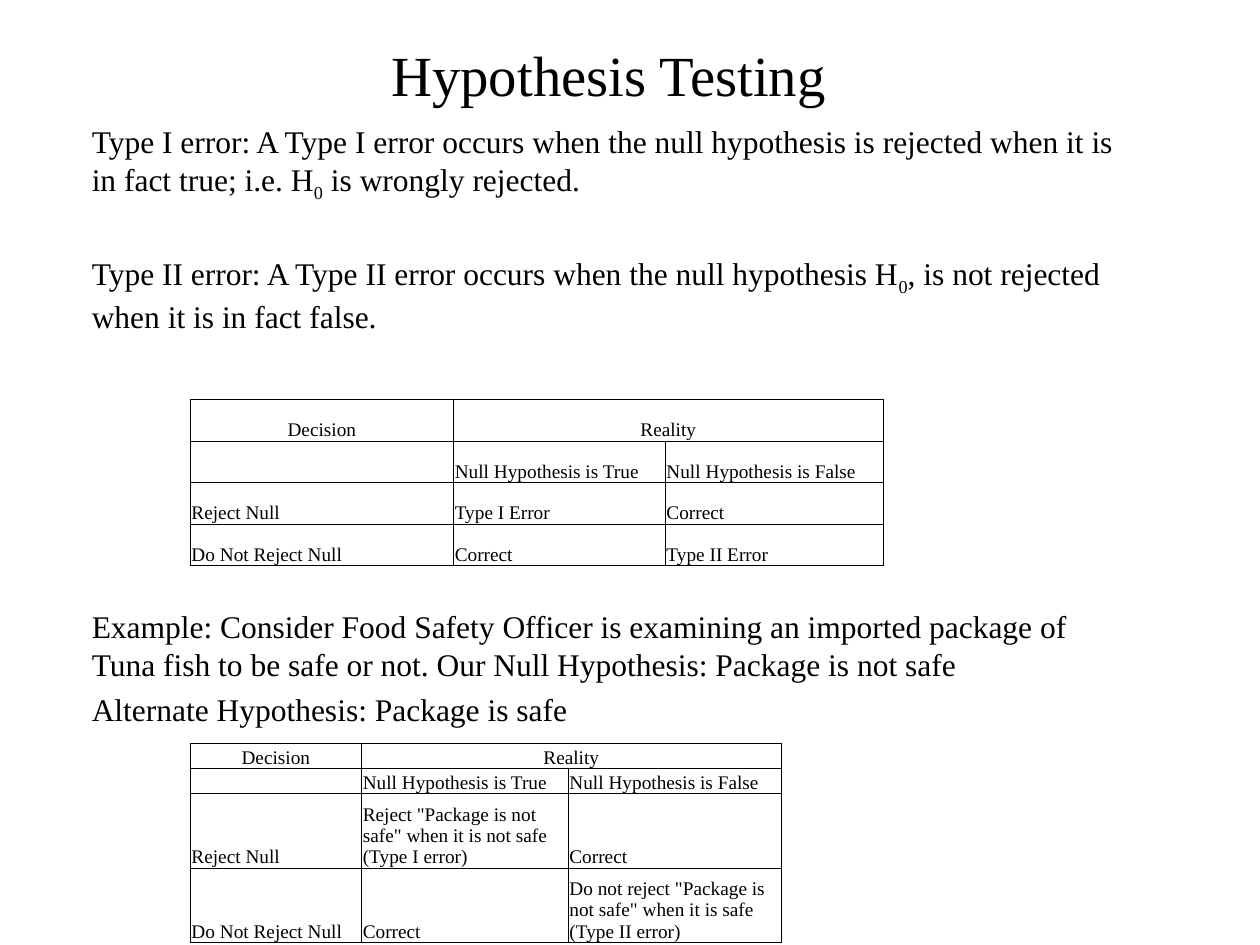
from pptx import Presentation
from pptx.dml.color import RGBColor
from pptx.enum.text import MSO_ANCHOR as Anchor, PP_ALIGN as Align
from pptx.oxml import parse_xml
from pptx.oxml.ns import nsdecls
from pptx.util import Inches, Pt

BLACK = RGBColor(0, 0, 0)
FACE = "Times New Roman"
HEADS = [["Decision", "Reality", ""],
         ["", "Null Hypothesis is True", "Null Hypothesis is False"]]


def style(font, size):
    font.name, font.size = FACE, Pt(size)
    font.color.rgb = BLACK


def add_box(slide, box):
    frame = slide.shapes.add_textbox(*map(Inches, box)).text_frame
    frame.word_wrap = True
    return frame


def add_title(slide, box, text):
    frame = add_box(slide, box)
    frame.vertical_anchor = Anchor.MIDDLE
    frame.text = text
    para = frame.paragraphs[0]
    para.alignment = Align.CENTER
    style(para.runs[0].font, 32.4)


def add_body(slide, box, parts):
    """Each part is a space before in points and a text with | around subscripts."""
    frame = add_box(slide, box)
    for i, (gap, text) in enumerate(parts):
        para = frame.add_paragraph() if i else frame.paragraphs[0]
        para.space_before = Pt(gap)
        for j, piece in enumerate(text.split("|")):
            run = para.add_run()
            run.text = piece
            style(run.font, 18)
            if j % 2:
                run.font._element.set("baseline", "-25000")


def add_border(cell):
    props = cell._tc.get_or_add_tcPr()
    for i, side in enumerate(("lnL", "lnR", "lnT", "lnB")):
        props.insert(i, parse_xml(
            f'<a:{side} {nsdecls("a")} w="{Pt(0.5)}"><a:solidFill>'
            f'<a:srgbClr val="{BLACK}"/></a:solidFill></a:{side}>'))


def fill_cell(cell, text, align):
    cell.fill.background()
    add_border(cell)
    cell.vertical_anchor = Anchor.BOTTOM
    cell.margin_left = cell.margin_right = cell.margin_top = Inches(0.01)
    cell.margin_bottom = 0
    cell.text = text
    para = cell.text_frame.paragraphs[0]
    para.alignment = align
    for run in para.runs:
        style(run.font, 11)
    if not text:  # keeps an empty cell from stretching its row
        para._p.get_or_add_endParaRPr().set("sz", "1100")


def add_grid(slide, left, top, cols, rows, data):
    size = (sum(cols), sum(rows))
    table = slide.shapes.add_table(
        len(rows), len(cols), *map(Inches, (left, top, *size))).table
    table.first_row = table.horz_banding = False
    for col, width in zip(table.columns, cols):
        col.width = Inches(width)
    for row, height in zip(table.rows, rows):
        row.height = Inches(height)
    for r, line in enumerate(HEADS + data):
        for c, text in enumerate(line):
            fill_cell(table.cell(r, c), text, Align.LEFT if r else Align.CENTER)
    table.cell(0, 1).merge(table.cell(0, 2))


def main():
    deck = Presentation()
    deck.slide_width, deck.slide_height = Inches(10), Inches(7.5)
    slide = deck.slides.add_slide(deck.slide_layouts[6])

    # Title and definitions, with room left for the first table
    add_title(slide, (0.58, 0.25, 8.5, 0.67), "Hypothesis Testing")
    add_body(slide, (0.63, 0.92, 8.42, 0.92), [
        (0, "Type I error: A Type I error occurs when the null hypothesis is "
            "rejected when it is in fact true; i.e. H|0| is wrongly rejected."),
        (29, "Type II error: A Type II error occurs when the null hypothesis "
             "H|0|, is not rejected when it is in fact false."),
        (155.7, "Example: Consider Food Safety Officer is examining an imported "
                "package of Tuna fish to be safe or not. Our Null Hypothesis: "
                "Package is not safe"),
        (4.2, "Alternate Hypothesis: Package is safe")])

    # General decision table
    add_grid(slide, 1.51, 3.17, (2.09, 1.68, 1.73), [0.33] * 4, [
        ["Reject Null", "Type I Error", "Correct"],
        ["Do Not Reject Null", "Correct", "Type II Error"]])

    # Food safety example table
    add_grid(slide, 1.51, 5.9, (1.36, 1.64, 1.69), [0.2] * 2 + [0.59] * 2, [
        ["Reject Null",
         'Reject "Package is not safe" when it is not safe (Type I error)',
         "Correct"],
        ["Do Not Reject Null", "Correct",
         'Do not reject "Package is not safe" when it is safe (Type II error)']])

    deck.save("out.pptx")


if __name__ == "__main__":
    main()
